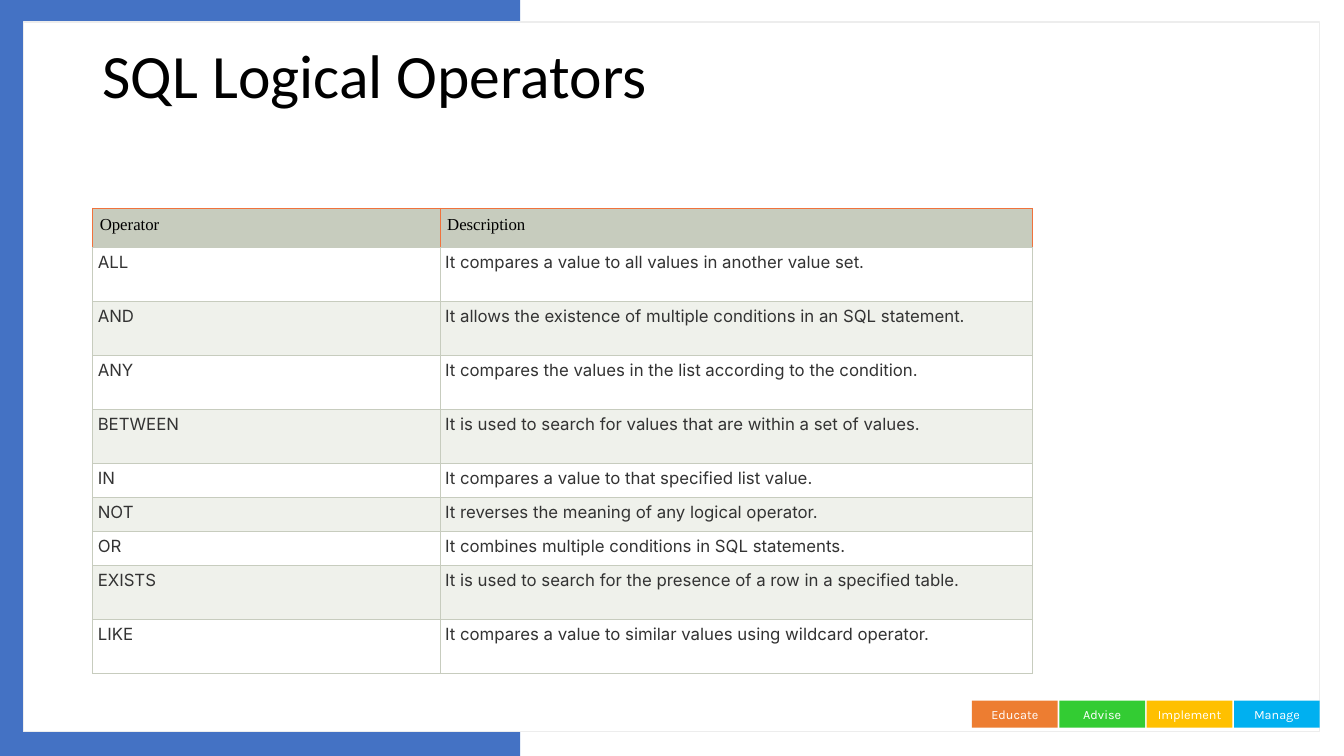
from dataclasses import dataclass

from lxml import etree
from pptx import Presentation
from pptx.dml.color import RGBColor
from pptx.enum.shapes import MSO_SHAPE
from pptx.enum.text import MSO_ANCHOR, PP_ALIGN
from pptx.oxml.ns import qn
from pptx.util import Inches, Pt

RECTANGLE = MSO_SHAPE.RECTANGLE
TOP, MIDDLE = MSO_ANCHOR.TOP, MSO_ANCHOR.MIDDLE
LEFT, CENTER, JUSTIFY = PP_ALIGN.LEFT, PP_ALIGN.CENTER, PP_ALIGN.JUSTIFY
BLANK_LAYOUT = 6


@dataclass(frozen=True)
class Theme:
    blue: str = "4472C4"
    orange: str = "ED7D31"
    green: str = "33CC33"
    amber: str = "FFC000"
    sky: str = "00B0F0"
    white: str = "FFFFFF"
    black: str = "000000"
    panel_edge: str = "EDEDED"
    body_ink: str = "333333"
    sage: str = "C7CCBE"
    pale_sage: str = "EFF1EB"
    header_edge: str = "F0723C"
    title_size: int = 44
    table_size: int = 12
    badge_size: int = 9
    panel_line: float = 1
    cell_line: float = 0.6
    title_font: str = "Calibri"
    header_font: str = "Times New Roman"
    body_font: str = "Inter"
    badge_font: str = "Karla"


def assign(target, values):
    for key, value in values.items():
        setattr(target, key, value)


def margins(inset):
    return {f"margin_{side}": Inches(inset) for side in ("left", "right", "top", "bottom")}


class SlideBuilder:
    def __init__(self, deck, theme):
        self.theme = theme
        self.width, self.height = deck.slide_width, deck.slide_height
        self.slide = deck.slides.add_slide(deck.slide_layouts[BLANK_LAYOUT])

    def across(self, percent):
        return round(self.width * percent / 100)

    def down(self, percent):
        return round(self.height * percent / 100)

    def place(self, left, top, width, height):
        return self.across(left), self.down(top), self.across(width), self.down(height)

    def add_words(self, frame, words, font, size, color, align, spacing=None):
        paragraph = frame.paragraphs[0]
        assign(paragraph, {"alignment": align, "line_spacing": spacing})
        run = paragraph.add_run()
        run.text = words
        assign(run.font, {"name": font, "size": Pt(size)})
        run.font.color.rgb = RGBColor.from_string(color)

    def block(self, area, fill, edge=None):
        block = self.slide.shapes.add_shape(RECTANGLE, *self.place(*area))
        block.shadow.inherit = False
        block.fill.solid()
        block.fill.fore_color.rgb = RGBColor.from_string(fill)
        if edge:
            block.line.color.rgb = RGBColor.from_string(edge)
            block.line.width = Pt(self.theme.panel_line)
        else:
            block.line.fill.background()
        return block

    def badge(self, area, words, fill):
        frame = self.block(area, fill).text_frame
        assign(frame, {"vertical_anchor": MIDDLE, "word_wrap": True, **margins(0)})
        self.add_words(frame, words, self.theme.badge_font, self.theme.badge_size,
                       self.theme.white, CENTER)

    def title(self, area, words):
        frame = self.slide.shapes.add_textbox(*self.place(*area)).text_frame
        assign(frame, {"word_wrap": True, "vertical_anchor": TOP})
        self.add_words(frame, words, self.theme.title_font, self.theme.title_size,
                       self.theme.black, LEFT, spacing=0.9)

    def borders(self, cell, edges):
        properties = cell._tc.get_or_add_tcPr()
        for position, (side, color) in enumerate(edges.items()):
            line = etree.Element(qn(f"a:ln{side}"), w=str(Pt(self.theme.cell_line)))
            fill = etree.SubElement(line, qn("a:solidFill"))
            etree.SubElement(fill, qn("a:srgbClr"), val=color)
            properties.insert(position, line)

    def cell(self, cell, words, fill, edges, inset, font, color, align):
        assign(cell, {"vertical_anchor": TOP, **margins(inset)})
        cell.fill.solid()
        cell.fill.fore_color.rgb = RGBColor.from_string(fill)
        self.add_words(cell.text_frame, words, font, self.theme.table_size, color, align)
        self.borders(cell, edges)

    def table(self, left, top, widths, heights, records):
        theme = self.theme
        area = self.place(left, top, sum(widths), sum(heights))
        table = self.slide.shapes.add_table(len(records), len(widths), *area).table
        for column, width in zip(table.columns, widths):
            column.width = self.across(width)
        header = {
            "inset": 0.07, "font": theme.header_font, "color": theme.black, "align": LEFT,
            "edges": {**dict.fromkeys("LRT", theme.header_edge), "B": theme.sage},
        }
        body = {
            "inset": 0.05, "font": theme.body_font, "color": theme.body_ink,
            "align": JUSTIFY, "edges": dict.fromkeys("LRTB", theme.sage),
        }
        for index, (record, height) in enumerate(zip(records, heights)):
            table.rows[index].height = self.down(height)
            band = theme.white if index % 2 else theme.pale_sage
            fill, style = (band, body) if index else (theme.sage, header)
            for column, words in enumerate(record):
                self.cell(table.cell(index, column), words, fill, **style)


HEADER, TALL, SHORT = 5.12, 7.16, 4.49
OPERATORS = [
    (HEADER, "Operator", "Description"),
    (TALL, "ALL", "It compares a value to all values in another value set."),
    (TALL, "AND", "It allows the existence of multiple conditions in an SQL statement."),
    (TALL, "ANY", "It compares the values in the list according to the condition."),
    (TALL, "BETWEEN", "It is used to search for values that are within a set of values."),
    (SHORT, "IN", "It compares a value to that specified list value."),
    (SHORT, "NOT", "It reverses the meaning of any logical operator."),
    (SHORT, "OR", "It combines multiple conditions in SQL statements."),
    (TALL, "EXISTS", "It is used to search for the presence of a row in a specified table."),
    (TALL, "LIKE", "It compares a value to similar values using wildcard operator."),
]
BADGE_LEFT, BADGE_PITCH = 72.32, 6.5
MARGIN = 6.9


def main():
    deck = Presentation()
    assign(deck, {"slide_width": Inches(13.33), "slide_height": Inches(7.5)})
    theme = Theme()
    page = SlideBuilder(deck, theme)
    page.block((0, 0, 38.7, 100), theme.blue)
    page.block((1.73, 2.93, 96.47, 93.87), theme.white, theme.panel_edge)
    badges = {"Educate": theme.orange, "Advise": theme.green,
              "Implement": theme.amber, "Manage": theme.sky}
    for index, (words, fill) in enumerate(badges.items()):
        page.badge((BADGE_LEFT + index * BADGE_PITCH, 92.67, 6.38, 3.6), words, fill)
    page.title((MARGIN, 5.33, 86.27, 19.33), "SQL Logical Operators")
    heights = [height for height, *_ in OPERATORS]
    records = [record for _, *record in OPERATORS]
    page.table(MARGIN, 27.55, (25.85, 44.1), heights, records)
    deck.save("out.pptx")


if __name__ == "__main__":
    main()
